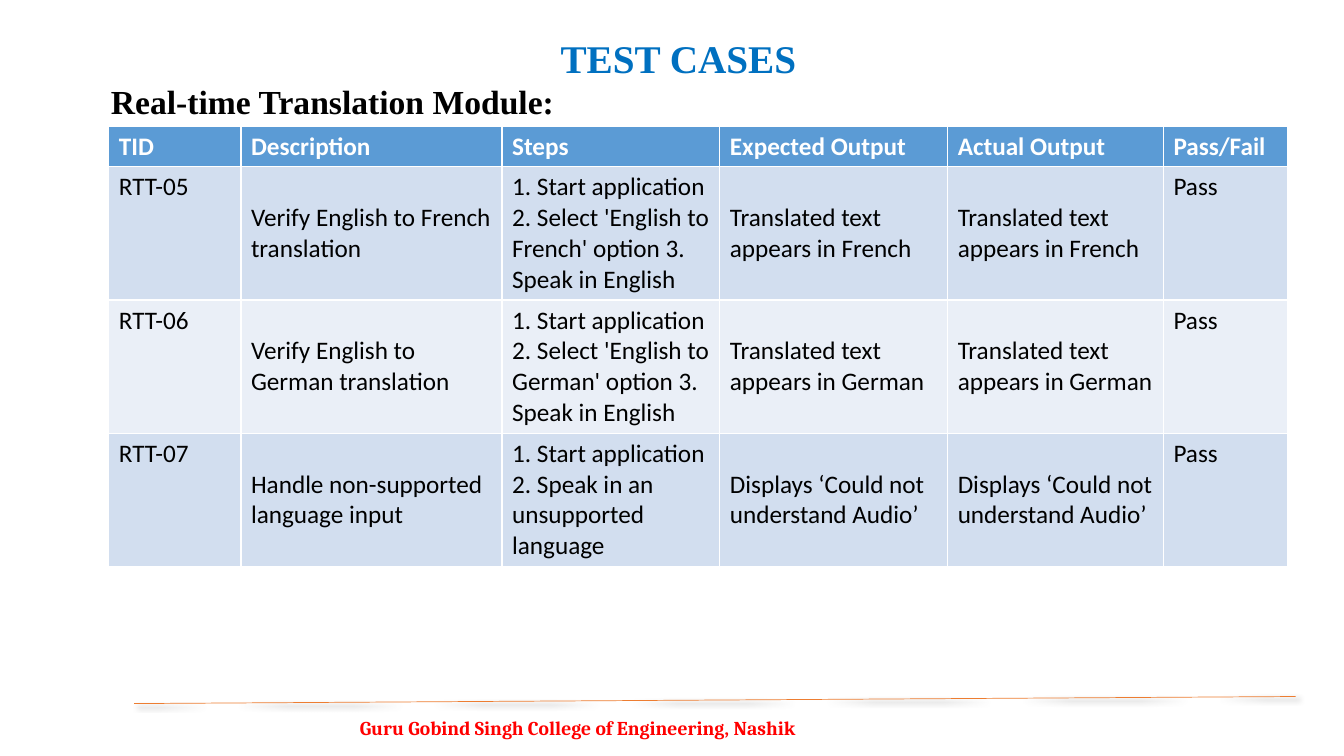
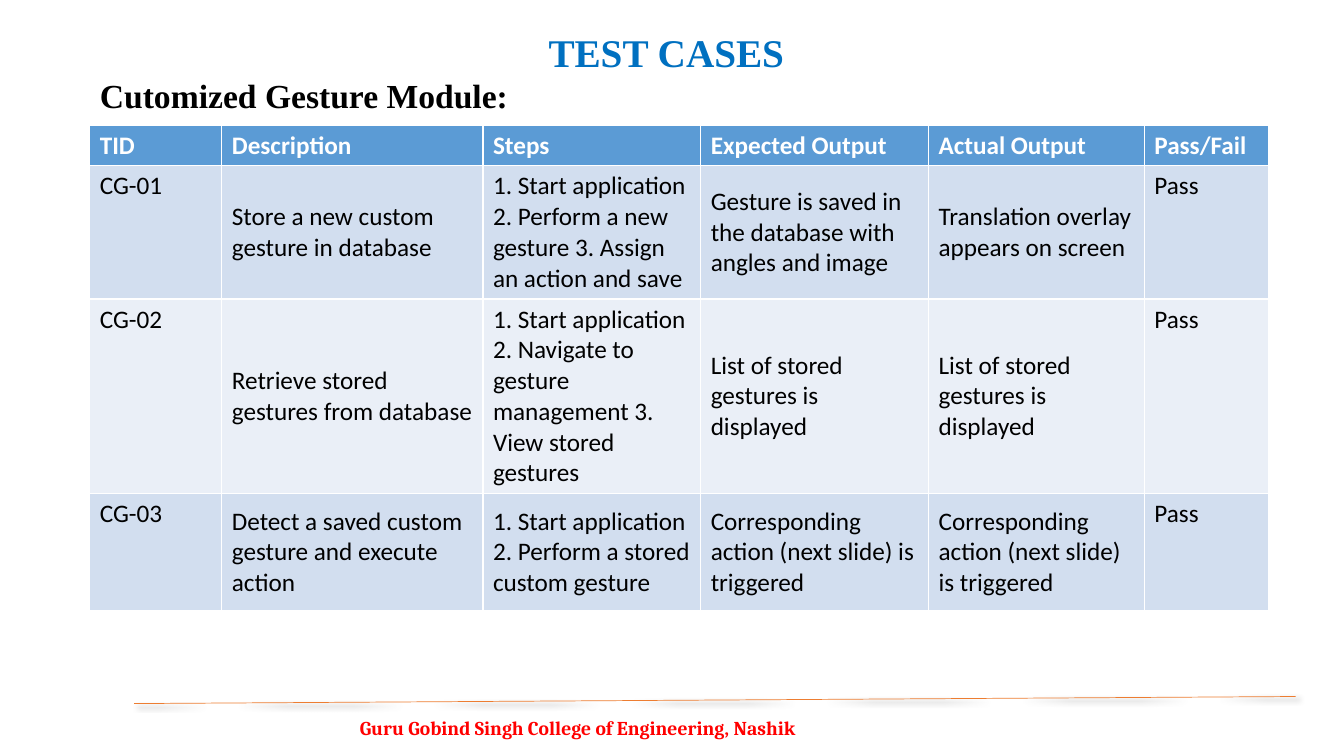
"""Build two slides of test case tables with a shared title style and footer."""
from dataclasses import dataclass
from typing import Any

import lxml.etree
import pptx
import pptx.dml.color
import pptx.enum.shapes
import pptx.enum.text
import pptx.oxml.ns
import pptx.presentation
import pptx.shapes.base
import pptx.slide
import pptx.text.text
import pptx.util

Inches = pptx.util.Inches
Pt = pptx.util.Pt
qn = pptx.oxml.ns.qn
ANCHOR = pptx.enum.text.MSO_ANCHOR

COLORS = {
    "title": "0070C0",
    "text": "000000",
    "footer": "FF0000",
    "rule": "ED7D31",
    "header_text": "FFFFFF",
    "header": "5B9BD5",
    "odd": "D2DEEF",
    "even": "EAEFF7",
}
FONTS = {
    "title": {"name": "Times New Roman", "size": Pt(28), "bold": True},
    "module": {"name": "Times New Roman", "size": Pt(24), "bold": True},
    "footer": {"name": "Cambria", "size": Pt(14), "bold": True},
    "header": {"name": "Calibri", "size": Pt(18), "bold": True},
    "cell": {"name": "Calibri", "size": Pt(18), "bold": False},
}
FRAME = {
    "word_wrap": True,
    "auto_size": pptx.enum.text.MSO_AUTO_SIZE.NONE,
    "vertical_anchor": ANCHOR.TOP,
    "margin_left": Inches(0.1),
    "margin_right": Inches(0.1),
    "margin_top": Inches(0.05),
    "margin_bottom": Inches(0.05),
}
PLAIN = {
    "alignment": pptx.enum.text.PP_ALIGN.LEFT,
    "line_spacing": 1.0,
    "space_before": Pt(0),
}
FOOTER_SPACING = PLAIN | {"line_spacing": 0.9, "space_before": Pt(10)}

COLLEGE = "Guru Gobind Singh College of Engineering, Nashik"
HEADINGS = ("TID", "Description", "Steps", "Expected Output", "Actual Output", "Pass/Fail")
COLUMN_WIDTHS = (1.31, 2.59, 2.16, 2.26, 2.14, 1.23)
CENTERED_COLUMNS = range(1, 5)


@dataclass(frozen=True)
class TestCase:
    tid: str
    description: str
    steps: str
    expected: str
    actual: str
    height: float
    result: str = "Pass"

    def cells(self) -> tuple[str, ...]:
        return (self.tid, self.description, self.steps, self.expected, self.actual, self.result)


@dataclass(frozen=True)
class Module:
    name: str
    title_at: tuple[float, float]
    name_at: tuple[float, float]
    table_at: tuple[float, float]
    header_height: float
    cases: tuple[TestCase, ...]


MODULES = (
    Module("Real-time Translation Module:", (5.46, 0.29), (1, 0.75), (1.08, 1.25), 0.32, (
        TestCase("RTT-05", "Verify English to French translation",
                 "1. Start application 2. Select 'English to French' option 3. Speak in English",
                 "Translated text appears in French", "Translated text appears in French", 1.25),
        TestCase("RTT-06", "Verify English to German translation",
                 "1. Start application 2. Select 'English to German' option 3. Speak in English",
                 "Translated text appears in German", "Translated text appears in German", 1.25),
        TestCase("RTT-07", "Handle non-supported language input",
                 "1. Start application 2. Speak in an unsupported language",
                 "Displays ‘Could not understand Audio’",
                 "Displays ‘Could not understand Audio’", 1.25),
    )),
    Module("Cutomized Gesture Module:", (5.34, 0.23), (0.89, 0.69), (0.89, 1.24), 0.37, (
        TestCase("CG-01", "Store a new custom gesture in database",
                 "1. Start application 2. Perform a new gesture 3. Assign an action and save",
                 "Gesture is saved in the database with angles and image",
                 "Translation overlay appears on screen", 1.21),
        TestCase("CG-02", "Retrieve stored gestures from database",
                 "1. Start application 2. Navigate to gesture management 3. View stored gestures",
                 "List of stored gestures is displayed",
                 "List of stored gestures is displayed", 1.76),
        TestCase("CG-03", "Detect a saved custom gesture and execute action",
                 "1. Start application 2. Perform a stored custom gesture",
                 "Corresponding action (next slide) is triggered",
                 "Corresponding action (next slide) is triggered", 1.16),
    )),
)


def apply_format(target: Any, values: dict[str, Any]) -> None:
    for attribute, value in values.items():
        setattr(target, attribute, value)


def rgb(color: str) -> pptx.dml.color.RGBColor:
    return pptx.dml.color.RGBColor.from_string(COLORS[color])


def write(frame: pptx.text.text.TextFrame, text: str, font: str, color: str,
          spacing: dict[str, Any]) -> None:
    paragraph = frame.paragraphs[0]
    apply_format(paragraph, spacing)
    run = paragraph.add_run()
    run.text = text
    apply_format(run.font, FONTS[font])
    run.font.color.rgb = rgb(color)


def place(holder: pptx.shapes.base.BaseShape, at: tuple[float, float],
          size: tuple[float, float]) -> None:
    apply_format(holder, dict(zip(("left", "top", "width", "height"), map(Inches, at + size))))
    apply_format(holder.text_frame, FRAME)


def add_headings(slide: pptx.slide.Slide, module: Module) -> None:
    title = slide.shapes.title
    place(title, module.title_at, (5.01, 0.57))
    write(title.text_frame, "TEST CASES", "title", "title", PLAIN)
    module_name = slide.placeholders[1]
    place(module_name, module.name_at, (10.09, 0.5))
    write(module_name.text_frame, module.name, "module", "text", PLAIN)
    properties = module_name.text_frame.paragraphs[0]._p.get_or_add_pPr()
    properties.set("marL", "0")
    properties.set("indent", "0")
    lxml.etree.SubElement(properties, qn("a:buNone"))


def add_footer(slide: pptx.slide.Slide) -> None:
    college = slide.shapes.add_textbox(0, 0, 0, 0)
    place(college, (3.47, 7.08), (5.83, 0.42))
    write(college.text_frame, COLLEGE, "footer", "footer", FOOTER_SPACING)
    rule = slide.shapes.add_connector(
        pptx.enum.shapes.MSO_CONNECTOR.STRAIGHT,
        Inches(1.33), Inches(6.98), Inches(12.85), Inches(6.91))
    rule.line.color.rgb = rgb("rule")
    rule.line.width = Pt(0.5)
    effects = lxml.etree.SubElement(rule._element.spPr, qn("a:effectLst"))
    shadow = lxml.etree.SubElement(
        effects, qn("a:outerShdw"), blurRad=str(Pt(4)), dist=str(Pt(3)),
        dir="2700000", algn="tl", rotWithShape="0")
    black = lxml.etree.SubElement(shadow, qn("a:srgbClr"), val=COLORS["text"])
    lxml.etree.SubElement(black, qn("a:alpha"), val="40000")


def add_cases(slide: pptx.slide.Slide, module: Module) -> None:
    rows = (HEADINGS, *(case.cells() for case in module.cases))
    heights = (module.header_height, *(case.height for case in module.cases))
    left, top = module.table_at
    cases = slide.shapes.add_table(
        len(rows), len(HEADINGS), Inches(left), Inches(top),
        Inches(sum(COLUMN_WIDTHS)), Inches(sum(heights))).table
    for column, width in zip(cases.columns, COLUMN_WIDTHS):
        column.width = Inches(width)
    for row_index, (texts, height) in enumerate(zip(rows, heights)):
        cases.rows[row_index].height = Inches(height)
        if row_index == 0:
            font, color, fill = "header", "header_text", "header"
        else:
            font, color, fill = "cell", "text", "odd" if row_index % 2 else "even"
        for column_index, text in enumerate(texts):
            cell = cases.cell(row_index, column_index)
            cell.fill.solid()
            cell.fill.fore_color.rgb = rgb(fill)
            if row_index and column_index in CENTERED_COLUMNS:
                cell.vertical_anchor = ANCHOR.MIDDLE
            write(cell.text_frame, text, font, color, PLAIN)


def add_module_slide(deck: pptx.presentation.Presentation, module: Module) -> None:
    slide = deck.slides.add_slide(deck.slide_layouts[1])
    add_footer(slide)
    add_headings(slide, module)
    add_cases(slide, module)


def main() -> None:
    deck = pptx.Presentation()
    deck.slide_width = Inches(13.33)
    deck.slide_height = Inches(7.5)
    for module in MODULES:
        add_module_slide(deck, module)
    deck.save("out.pptx")


if __name__ == "__main__":
    main()
